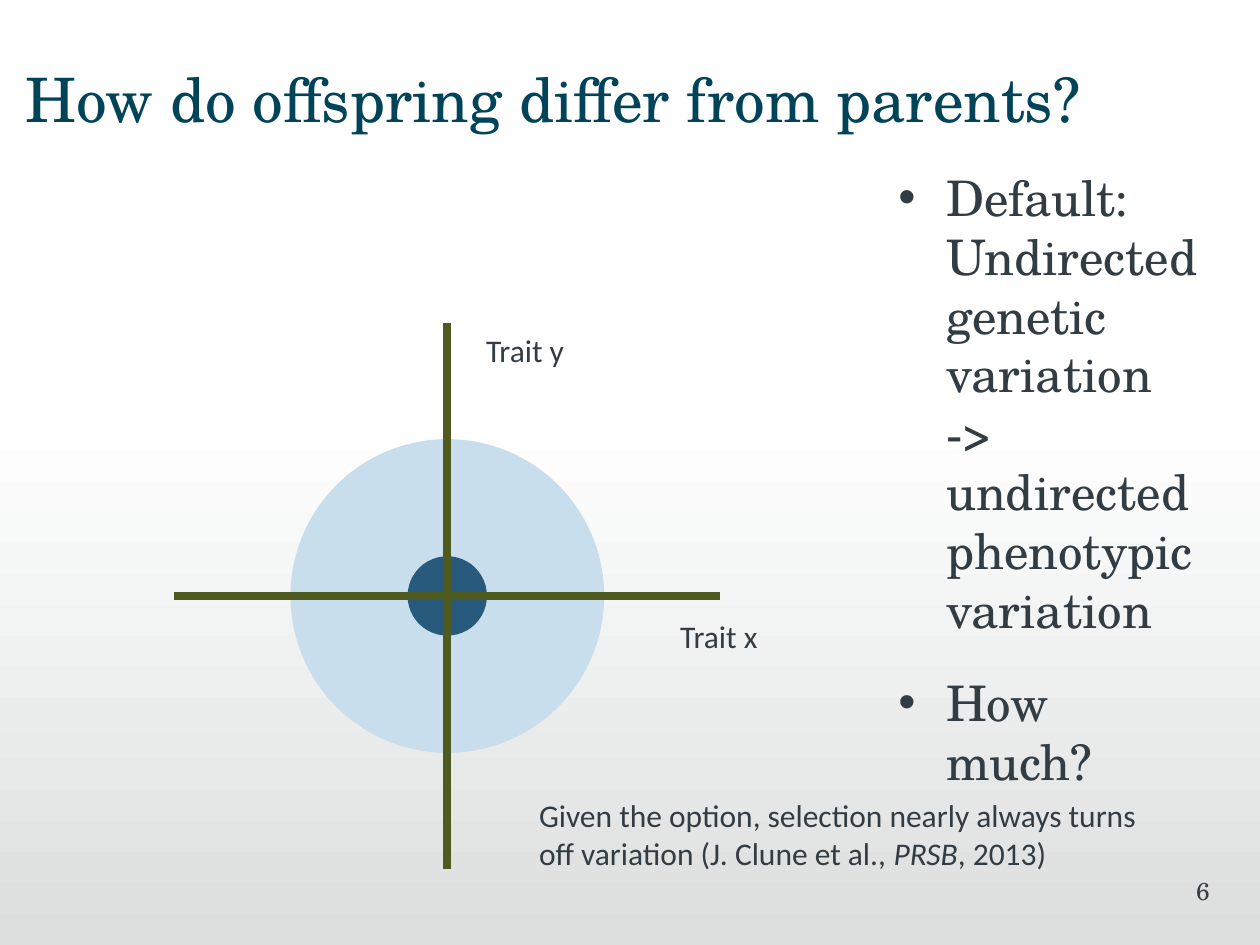
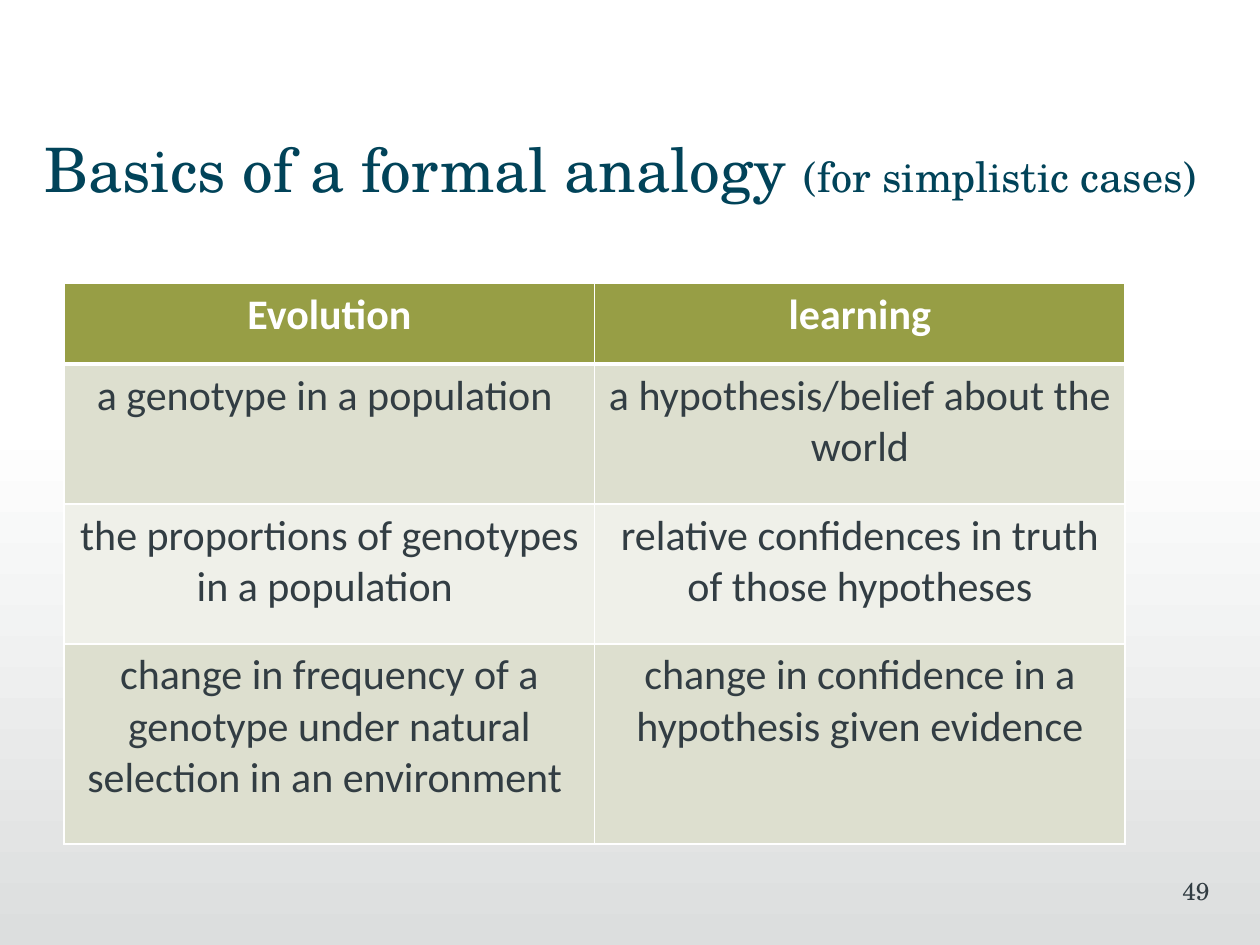
from lxml.etree import SubElement
from pptx import Presentation
from pptx.dml.color import RGBColor
from pptx.enum.shapes import MSO_CONNECTOR, MSO_SHAPE
from pptx.enum.text import PP_ALIGN
from pptx.oxml.ns import qn
from pptx.util import Inches, Pt

SERIF, SANS = "TeX Gyre Schola", "Calibri"
TITLE, TEXT, AXIS, WHITE = "014359", "323D43", "4F5A20", "FFFFFF"
HEADER, ROW_FILLS = "979E45", ("DDDFCF", "EFF0E9")
FADE_END = "DCDEDE"

OFFSPRING_TITLE = [("How do offspring differ from parents?", {})]
BULLETS = [
    "Default: Undirected genetic variation -> undirected phenotypic variation",
    "How much?",
]
CITATION = [
    ("Given the option, selection nearly always turns off variation (J. Clune et al., ", {}),
    ("PRSB", {"italic": True}),
    (", 2013)", {}),
]
TRAIT_CENTER = (3.55, 4.73)
TRAIT_CIRCLES = [(2.49, "C9DEED"), (0.63, "285A7D")]
AXIS_REACH = 2.165
AXIS_LABELS = [("Trait x", 5.3, 4.85), ("Trait y", 3.76, 2.58)]

ANALOGY_TITLE = [
    ("Basics of a formal analogy ", {}),
    ("(for simplistic cases)", {"size": Pt(24)}),
]
ANALOGY = [
    ("Evolution", "learning"),
    ("a genotype in a population ", "a hypothesis/belief about the world"),
    ("the proportions of genotypes in a population ",
     "relative confidences in truth of those hypotheses"),
    ("change in frequency of a genotype under natural selection in an environment ",
     "change in confidence in a hypothesis given evidence"),
]
COLUMN_WIDTH = 4.21
ROW_HEIGHTS = (0.64, 1.11, 1.11, 1.59)


def color(hex_code):
    return RGBColor.from_string(hex_code)


def style(para, size, font, hex_code, bold=False):
    para.font.size = Pt(size)
    para.font.name = font
    para.font.bold = bold
    para.font.color.rgb = color(hex_code)


def add_runs(para, runs):
    """Add (text, font settings) pairs to a paragraph."""
    for text, settings in runs:
        span = para.add_run()
        span.text = text
        for name, value in settings.items():
            setattr(span.font, name, value)


def add_box(page, left, top, width, height, wrap=True, insets=(0.1, 0.1)):
    """Add a text box with the given left and right insets; return its frame."""
    frame = page.shapes.add_textbox(
        Inches(left), Inches(top), Inches(width), Inches(height)).text_frame
    frame.word_wrap = wrap
    frame.margin_left, frame.margin_right = map(Inches, insets)
    return frame


def add_page(deck, title, left, top, number):
    """Add a slide with the shared fade, title and page number."""
    page = deck.slides.add_slide(deck.slide_layouts[6])
    page.background.fill.solid()
    page.background.fill.fore_color.rgb = color(WHITE)

    fade = page.shapes.add_shape(
        MSO_SHAPE.RECTANGLE, 0, Inches(3.33), Inches(10), Inches(4.17))
    fade.shadow.inherit = False
    fade.line.fill.background()
    fade.fill.gradient()
    fade.fill.gradient_angle = 270
    for stop, hex_code in zip(fade.fill.gradient_stops, (WHITE, FADE_END)):
        stop.color.rgb = color(hex_code)

    heading = add_box(page, left, top, 9.29, 0.71, insets=(0, 0.1)).paragraphs[0]
    add_runs(heading, title)
    style(heading, 35, SERIF, TITLE)

    footer = add_box(page, 7.52, 6.9, 2.08, 0.5, insets=(0.1, 0)).paragraphs[0]
    footer.text = str(number)
    footer.alignment = PP_ALIGN.RIGHT
    style(footer, 14, SERIF, TEXT)
    return page


def add_bullets(page):
    frame = add_box(page, 7.13, 1.28, 2.52, 5.08, insets=(0, 0.1))
    for index, text in enumerate(BULLETS):
        para = frame.add_paragraph() if index else frame.paragraphs[0]
        para.text = text
        para.space_after = Pt(19.6)
        properties = para._p.get_or_add_pPr()
        properties.set("marL", str(Inches(0.38)))
        properties.set("indent", str(-Inches(0.38)))
        SubElement(properties, qn("a:buFont"), typeface="Arial")
        SubElement(properties, qn("a:buChar"), char="•")
        style(para, 28, SERIF, TEXT)


def add_axis(page, x1, y1, x2, y2):
    axis = page.shapes.add_connector(
        MSO_CONNECTOR.STRAIGHT, Inches(x1), Inches(y1), Inches(x2), Inches(y2))
    axis.line.color.rgb = color(AXIS)
    axis.line.width = Pt(4.5)
    SubElement(axis._element.spPr, qn("a:effectLst"))


def add_trait_plot(page):
    x, y = TRAIT_CENTER
    for size, hex_code in TRAIT_CIRCLES:
        circle = page.shapes.add_shape(
            MSO_SHAPE.OVAL, Inches(x - size / 2), Inches(y - size / 2),
            Inches(size), Inches(size))
        circle.shadow.inherit = False
        circle.line.fill.background()
        circle.fill.solid()
        circle.fill.fore_color.rgb = color(hex_code)
    add_axis(page, x, y - AXIS_REACH, x, y + AXIS_REACH)
    add_axis(page, x - AXIS_REACH, y, x + AXIS_REACH, y)
    for text, left, top in AXIS_LABELS:
        label = add_box(page, left, top, 0.83, 0.4, wrap=False).paragraphs[0]
        label.text = text
        style(label, 18, SANS, TEXT)


def add_borders(cell, bottom_width):
    properties = cell._tc.get_or_add_tcPr()
    for side, width in (("L", 1), ("R", 1), ("T", 1), ("B", bottom_width)):
        line = SubElement(properties, qn(f"a:ln{side}"), w=str(Pt(width)))
        fill = SubElement(line, qn("a:solidFill"))
        SubElement(fill, qn("a:srgbClr"), val=WHITE)


def add_analogy_table(page):
    columns = len(ANALOGY[0])
    table = page.shapes.add_table(
        len(ANALOGY), columns, Inches(0.51), Inches(2.25),
        Inches(COLUMN_WIDTH * columns), Inches(sum(ROW_HEIGHTS))).table
    for column in table.columns:
        column.width = Inches(COLUMN_WIDTH)
    for index, (texts, height) in enumerate(zip(ANALOGY, ROW_HEIGHTS)):
        table.rows[index].height = Inches(height)
        is_header = index == 0
        for cell, text in zip(table.rows[index].cells, texts):
            add_borders(cell, 3 if is_header else 1)
            cell.fill.solid()
            cell.fill.fore_color.rgb = color(
                HEADER if is_header else ROW_FILLS[(index - 1) % 2])
            cell.text = text
            para = cell.text_frame.paragraphs[0]
            para.alignment = PP_ALIGN.CENTER
            style(para, 24, SANS, WHITE if is_header else TEXT, bold=is_header)


def main():
    deck = Presentation()
    deck.slide_width, deck.slide_height = Inches(10), Inches(7.5)

    offspring = add_page(deck, OFFSPRING_TITLE, 0.2, 0.44, 6)
    add_bullets(offspring)
    add_trait_plot(offspring)
    citation = add_box(offspring, 4.18, 6.27, 5, 0.71).paragraphs[0]
    add_runs(citation, CITATION)
    style(citation, 18, SANS, TEXT)

    analogy = add_page(deck, ANALOGY_TITLE, 0.35, 0.99, 49)
    add_analogy_table(analogy)
    deck.save("out.pptx")


if __name__ == "__main__":
    main()
